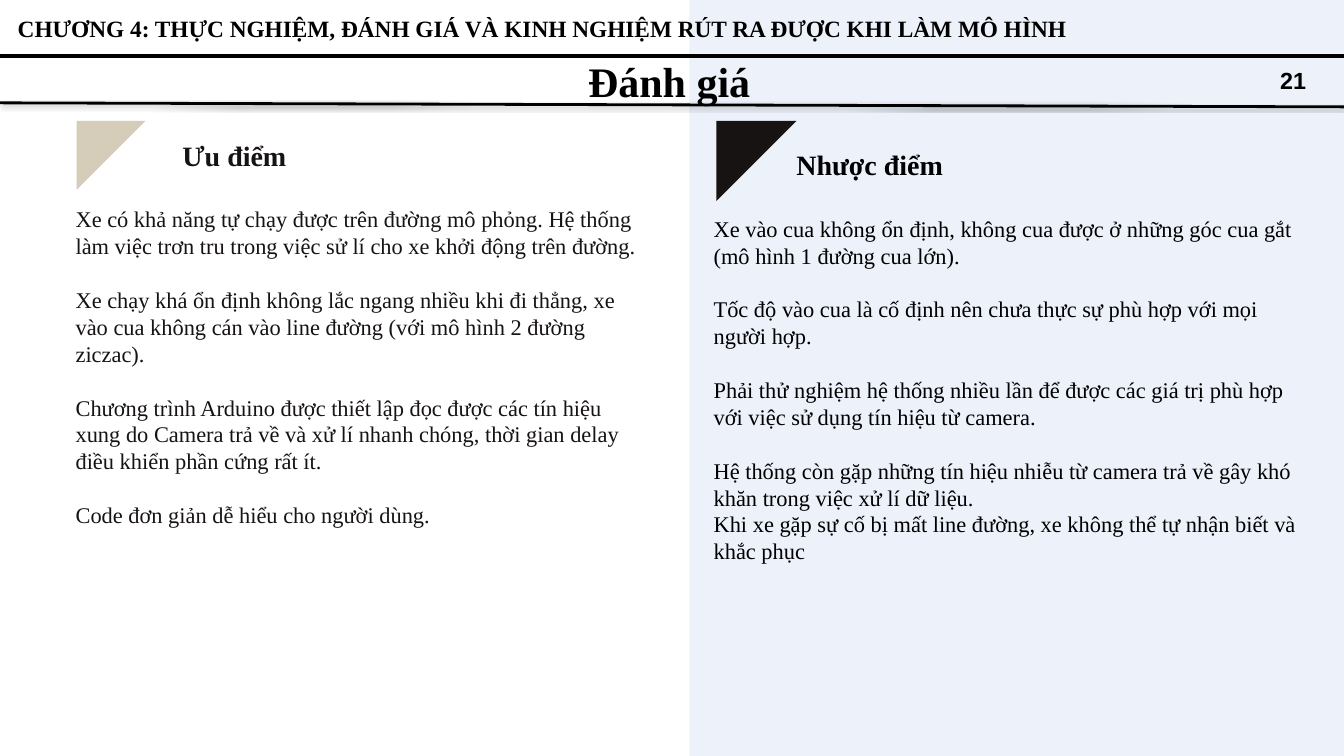
from lxml.etree import SubElement
from pptx import Presentation
from pptx.dml.color import RGBColor
from pptx.enum.shapes import MSO_CONNECTOR as Connector
from pptx.enum.shapes import MSO_SHAPE as Shape
from pptx.enum.text import MSO_ANCHOR as Anchor
from pptx.enum.text import MSO_AUTO_SIZE as AutoSize
from pptx.enum.text import PP_ALIGN as Align
from pptx.oxml.ns import qn
from pptx.util import Pt

WIDTH, HEIGHT = 1440, 810
SPLIT = 738.7
SERIF = "Times New Roman"
BLACK, DARK, SAND, PALE = "000000", "161312", "D5CCB9", "ECF1FA"
PARAGRAPH_GAP = 28.8
HEADING_GAP = 36

PROS = [
    "Xe có khả năng tự chạy được trên đường mô phỏng. Hệ thống làm việc trơn tru "
    "trong việc sử lí cho xe khởi động trên đường.",
    "Xe chạy khá ổn định không lắc ngang nhiều khi đi thẳng, xe vào cua không cán "
    "vào line đường (với mô hình 2 đường ziczac).",
    "Chương trình Arduino được thiết lập đọc được các tín hiệu xung do Camera trả về "
    "và xử lí nhanh chóng, thời gian delay điều khiển phần cứng rất ít.",
    "Code đơn giản dễ hiểu cho người dùng.",
]
CONS = [
    "Xe vào cua không ổn định, không cua được ở những góc cua gắt "
    "(mô hình 1 đường cua lớn).",
    "Tốc độ vào cua là cố định nên chưa thực sự phù hợp với mọi người hợp.",
    "Phải thử nghiệm hệ thống nhiều lần để được các giá trị phù hợp với việc sử dụng "
    "tín hiệu từ camera.",
    "Hệ thống còn gặp những tín hiệu nhiễu từ camera trả về gây khó khăn trong việc "
    "xử lí dữ liệu.",
    "Khi xe gặp sự cố bị mất line đường, xe không thể tự nhận biết và khắc phục",
]


def color(hex_string):
    return RGBColor.from_string(hex_string)


def paint(shape, fill):
    shape.shadow.inherit = False
    shape.fill.solid()
    shape.fill.fore_color.rgb = color(fill)
    shape.line.fill.background()


def add_panel(slide, top, height):
    panel = slide.shapes.add_shape(
        Shape.RECTANGLE, Pt(SPLIT), Pt(top), Pt(WIDTH - SPLIT), Pt(height))
    paint(panel, PALE)


def add_corner(slide, left, top, size, fill):
    """Add a right triangle whose square corner is at the top left."""
    builder = slide.shapes.build_freeform(Pt(left), Pt(top + size))
    builder.add_line_segments(
        [(Pt(left), Pt(top)), (Pt(left + size), Pt(top))], close=True)
    paint(builder.convert_to_shape(), fill)


def add_rule(slide, start_y, end_y, weight, shadow=False):
    rule = slide.shapes.add_connector(
        Connector.STRAIGHT, 0, Pt(start_y), Pt(WIDTH), Pt(end_y))
    rule.line.width = Pt(weight)
    rule.line.color.rgb = color(BLACK)
    effects = SubElement(rule._element.spPr, qn("a:effectLst"))
    if shadow:
        outer = SubElement(effects, qn("a:outerShdw"), blurRad=str(Pt(3.1)),
                           dist=str(Pt(1.8)), dir="5400000", rotWithShape="0")
        shade = SubElement(outer, qn("a:srgbClr"), val=BLACK)
        SubElement(shade, qn("a:alpha"), val="35000")


def place_text(shape, left, top, width, height):
    """Position a text shape and return its frame, ready for text."""
    shape.left, shape.top, shape.width, shape.height = map(
        Pt, (left, top, width, height))
    frame = shape.text_frame
    settings = {
        "word_wrap": True, "auto_size": AutoSize.NONE,
        "vertical_anchor": Anchor.TOP, "margin_left": 0, "margin_right": 0,
        "margin_top": Pt(1), "margin_bottom": 0,
    }
    for name, value in settings.items():
        setattr(frame, name, value)
    return frame


def add_text_box(slide, *box):
    return place_text(slide.shapes.add_textbox(0, 0, 0, 0), *box)


def bring_to_front(slide, shape):
    slide.shapes._spTree.append(shape._element)


def write(paragraph, text, size, fill=BLACK, bold=True, font=SERIF, gap=0):
    paragraph.text = text
    layout = {"alignment": Align.LEFT, "space_before": Pt(gap), "line_spacing": 1.0}
    for name, value in layout.items():
        setattr(paragraph, name, value)
    for name, value in {"name": font, "size": Pt(size), "bold": bold}.items():
        setattr(paragraph.font, name, value)
    paragraph.font.color.rgb = color(fill)


def add_column(slide, box, heading, indent, fill, points, joined=()):
    """Add a heading and its points; joined lists points with no gap before."""
    frame = add_text_box(slide, *box)
    first = frame.paragraphs[0]
    first._p.get_or_add_pPr().set("marL", str(Pt(indent)))
    write(first, heading, 30, fill)
    for index, point in enumerate(points):
        gap = HEADING_GAP if index == 0 else PARAGRAPH_GAP
        if index in joined:
            gap = 0
        write(frame.add_paragraph(), point, 24, fill, bold=False, gap=gap)


def main():
    presentation = Presentation()
    presentation.slide_width, presentation.slide_height = Pt(WIDTH), Pt(HEIGHT)
    slide = presentation.slides.add_slide(presentation.slide_layouts[5])

    add_panel(slide, 62, HEIGHT - 62)
    add_panel(slide, 0, 57.6)
    add_rule(slide, 60, 60, 4.5)

    number = add_text_box(slide, 1371.7, 69.8, 45, 31)
    write(number.paragraphs[0], "21", 25, font="Arial")
    title = slide.shapes.title
    title_frame = place_text(title, 630, 58.3, 224, 55.4)
    write(title_frame.paragraphs[0], "Đánh giá", 45)
    bring_to_front(slide, title)

    add_corner(slide, 82, 129.6, 73.8, SAND)
    add_column(slide, (81, 147.2, 615, 490), "Ưu điểm", 114.5, DARK, PROS)
    add_corner(slide, 767.5, 129.6, 85.7, DARK)
    add_column(slide, (764.6, 157.2, 636, 492), "Nhược điểm", 88.6, BLACK, CONS,
               joined=(4,))

    add_rule(slide, 110.2, 114.5, 3, shadow=True)
    chapter = add_text_box(slide, 19, 14.7, 1355, 31)
    write(chapter.paragraphs[0],
          "CHƯƠNG 4: THỰC NGHIỆM, ĐÁNH GIÁ VÀ KINH NGHIỆM RÚT RA ĐƯỢC KHI LÀM MÔ HÌNH",
          25)

    presentation.save("out.pptx")


if __name__ == "__main__":
    main()
